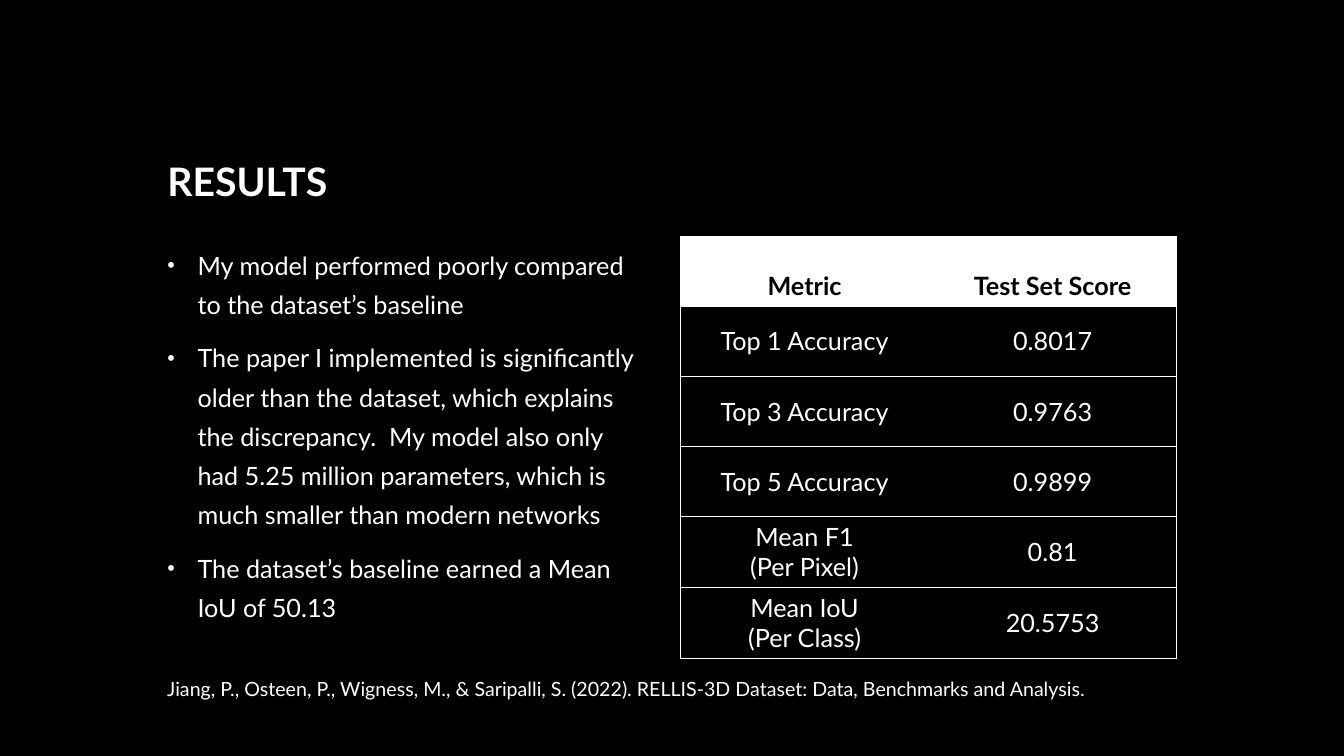
from typing import NamedTuple

from lxml import etree
from pptx import Presentation
from pptx.dml.color import RGBColor
from pptx.enum.text import MSO_ANCHOR, MSO_AUTO_SIZE, PP_ALIGN
from pptx.oxml.ns import qn
from pptx.util import Inches, Pt

BLACK = RGBColor(0, 0, 0)
WHITE = RGBColor(255, 255, 255)
FONT = "Lato"
TITLE_AND_CONTENT = 1
LEFT, CENTER = PP_ALIGN.LEFT, PP_ALIGN.CENTER
TOP, MIDDLE, BOTTOM = MSO_ANCHOR.TOP, MSO_ANCHOR.MIDDLE, MSO_ANCHOR.BOTTOM
NO_FIT = MSO_AUTO_SIZE.NONE

MARGIN, FULL_WIDTH = 1.56, 10.1
CONTENT_TOP, COLUMN_WIDTH = 2.34, 4.92
TABLE_LEFT, TABLE_HEIGHT = 6.75, 4.18


class Score(NamedTuple):
    metric: str
    value: str


HEADER = Score("Metric", "Test Set Score")
SCORES = [
    Score("Top 1 Accuracy", "0.8017"),
    Score("Top 3 Accuracy", "0.9763"),
    Score("Top 5 Accuracy", "0.9899"),
    Score("Mean F1\n(Per Pixel)", "0.81"),
    Score("Mean IoU\n(Per Class)", "20.5753"),
]
FINDINGS = [
    "My model performed poorly compared to the dataset’s baseline",
    "The paper I implemented is significantly older than the dataset, which "
    "explains the discrepancy.  My model also only had 5.25 million parameters, "
    "which is much smaller than modern networks",
    "The dataset’s baseline earned a Mean IoU of 50.13",
]
CITATION = ("Jiang, P., Osteen, P., Wigness, M., & Saripalli, S. (2022). "
            "RELLIS-3D Dataset: Data, Benchmarks and Analysis.")


def place(shape, left: float, top: float, width: float, height: float) -> None:
    shape.left, shape.top = Inches(left), Inches(top)
    shape.width, shape.height = Inches(width), Inches(height)


def set_frame(frame, anchor) -> None:
    frame.word_wrap = True
    frame.auto_size = NO_FIT
    frame.vertical_anchor = anchor


def add_run(paragraph, text: str, size: float, color: RGBColor = WHITE,
            bold: bool = False) -> None:
    run = paragraph.add_run()
    run.text = text
    run.font.name, run.font.size, run.font.bold = FONT, Pt(size), bold
    run.font.color.rgb = color


def add_bullet(paragraph) -> None:
    properties = paragraph._p.get_or_add_pPr()
    properties.set("marL", str(Inches(0.3)))
    properties.set("indent", str(Inches(-0.3)))
    etree.SubElement(properties, qn("a:buSzPct"), val="85000")
    etree.SubElement(properties, qn("a:buFont"), typeface="Arial")
    etree.SubElement(properties, qn("a:buChar"), char="•")


def add_border(cell, side: str, visible: bool) -> None:
    line = etree.SubElement(cell._tc.get_or_add_tcPr(), qn(f"a:ln{side}"),
                            w=str(Pt(0.5)))
    if visible:
        fill = etree.SubElement(line, qn("a:solidFill"))
        etree.SubElement(fill, qn("a:srgbClr"), val=str(WHITE))
    else:
        etree.SubElement(line, qn("a:noFill"))


def fill_cell(cell, text: str, is_header: bool, is_first_column: bool) -> None:
    # Only the outer edges and the row rules are drawn
    visible = {"L": is_first_column, "R": not is_first_column, "T": True, "B": True}
    for side, shown in visible.items():
        add_border(cell, side, shown)
    cell.fill.solid()
    cell.fill.fore_color.rgb = WHITE if is_header else BLACK
    cell.vertical_anchor = BOTTOM if is_header else MIDDLE
    frame = cell.text_frame
    for index, line in enumerate(text.split("\n")):
        paragraph = frame.add_paragraph() if index else frame.paragraphs[0]
        paragraph.alignment = CENTER
        add_run(paragraph, line, 18, BLACK if is_header else WHITE, is_header)


def add_score_table(slide) -> None:
    rows = [HEADER, *SCORES]
    columns = len(Score._fields)
    table = slide.shapes.add_table(
        len(rows), columns, Inches(TABLE_LEFT), Inches(CONTENT_TOP),
        Inches(COLUMN_WIDTH), Inches(TABLE_HEIGHT)).table
    for column in table.columns:
        column.width = Inches(COLUMN_WIDTH / columns)
    for row_index, score in enumerate(rows):
        table.rows[row_index].height = Inches(TABLE_HEIGHT / len(rows))
        for column_index, text in enumerate(score):
            fill_cell(table.cell(row_index, column_index), text,
                      row_index == 0, column_index == 0)


def main() -> None:
    presentation = Presentation()
    presentation.slide_width = Inches(13.33)
    presentation.slide_height = Inches(7.5)
    slide = presentation.slides.add_slide(
        presentation.slide_layouts[TITLE_AND_CONTENT])
    slide.background.fill.solid()
    slide.background.fill.fore_color.rgb = BLACK

    # Title
    title = slide.shapes.title
    place(title, MARGIN, 1.11, FULL_WIDTH, 0.97)
    set_frame(title.text_frame, BOTTOM)
    heading = title.text_frame.paragraphs[0]
    heading.alignment, heading.line_spacing = LEFT, 1.2
    add_run(heading, "RESULTS", 28, bold=True)

    # Findings
    findings = slide.placeholders[1]
    place(findings, MARGIN, CONTENT_TOP, COLUMN_WIDTH, 4.33)
    frame = findings.text_frame
    set_frame(frame, TOP)
    for index, text in enumerate(FINDINGS):
        finding = frame.add_paragraph() if index else frame.paragraphs[0]
        add_bullet(finding)
        finding.line_spacing = 1.3
        finding.space_before = Pt(10 if index else 0)
        add_run(finding, text, 18)

    # Scores
    add_score_table(slide)

    # Citation
    citation = slide.shapes.add_textbox(
        Inches(MARGIN), Inches(6.67), Inches(FULL_WIDTH), Inches(0.34))
    set_frame(citation.text_frame, TOP)
    add_run(citation.text_frame.paragraphs[0], CITATION, 14)

    presentation.save("out.pptx")


if __name__ == "__main__":
    main()
